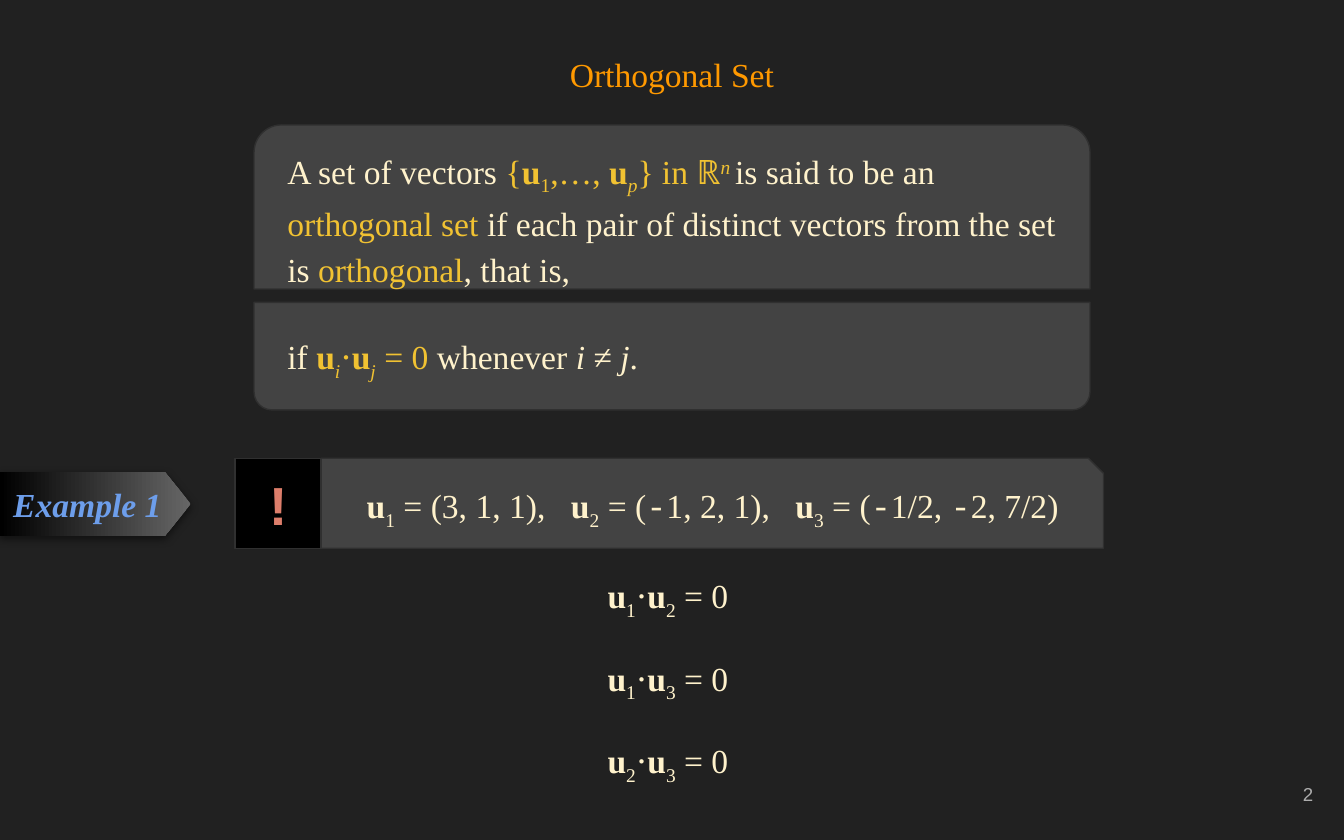
import pptx
import pptx.dml.color
import pptx.enum.shapes
import pptx.enum.text
import pptx.oxml
import pptx.oxml.ns
import pptx.util
from pptx.util import Inches

SHAPE = pptx.enum.shapes.MSO_SHAPE
ALIGN = pptx.enum.text.PP_ALIGN
ANCHOR = pptx.enum.text.MSO_ANCHOR
NS = pptx.oxml.ns.nsdecls("a")
SERIF, MONO = "Times New Roman", "Courier New"
CREAM, GOLD, PANEL, EDGE = "FFF2CC", "F1C232", "434343", "303030"


def rgb(value):
    return pptx.dml.color.RGBColor.from_string(value)


def vector(index, color=None, italic=False):
    """Runs for a bold u with a subscript."""
    return [("u", {"bold": True, "color": color}),
            (index, {"base": -25, "italic": italic, "color": color})]


def product(first, second):
    return vector(first) + [("⋅", {})] + vector(second) + [(" = 0", {})]


class Deck:
    def __init__(self, slide, background):
        self.slide = slide
        slide.background.fill.solid()
        slide.background.fill.fore_color.rgb = rgb(background)

    def group(self):
        return self.slide.shapes.add_group_shape().shapes

    def title(self, text, box, color):
        title = self.slide.shapes.title
        title.left, title.top, title.width, title.height = map(Inches, box)
        self.fill_text(title.text_frame, [[(text, {})]], color=color,
                       align=ALIGN.CENTER, after=16)

    def shape(self, kind, box, fill, adjust=None, parent=None):
        parent = parent or self.slide.shapes
        shape = parent.add_shape(kind, *map(Inches, box))
        shape.shadow.inherit = False
        if adjust is not None:
            shape.adjustments[0] = adjust
        shape.fill.solid()
        shape.fill.fore_color.rgb = rgb(fill)
        shape.line.color.rgb = rgb(EDGE)
        shape.line.width = pptx.util.Pt(0.75)
        return shape

    def text(self, box, paragraphs, parent=None, **style):
        parent = parent or self.slide.shapes
        frame = parent.add_textbox(*map(Inches, box)).text_frame
        self.fill_text(frame, paragraphs, **style)

    def label(self, shape, text, **style):
        self.fill_text(shape.text_frame, [[(text, {})]],
                       anchor=ANCHOR.MIDDLE, spacing=1.0, **style)

    def fill_text(self, frame, paragraphs, color=CREAM, font=SERIF, size=18,
                  align=ALIGN.LEFT, anchor=ANCHOR.TOP, spacing=1.15, before=0,
                  after=0, bold=False, italic=False, tabs=()):
        """Fill a frame with paragraphs, each a list of (text, changes) runs."""
        frame.word_wrap = True
        frame.auto_size = pptx.enum.text.MSO_AUTO_SIZE.NONE
        frame.vertical_anchor = anchor
        frame.margin_left = frame.margin_right = Inches(0.1)
        frame.margin_top = frame.margin_bottom = Inches(0.1)
        for number, runs in enumerate(paragraphs):
            paragraph = frame.add_paragraph() if number else frame.paragraphs[0]
            paragraph.alignment = align
            paragraph.line_spacing = spacing
            paragraph.space_before = pptx.util.Pt(before if number else 0)
            paragraph.space_after = pptx.util.Pt(after)
            if tabs:
                stops = "".join(f'<a:tab pos="{Inches(stop)}" algn="l"/>' for stop in tabs)
                paragraph._p.get_or_add_pPr().append(
                    pptx.oxml.parse_xml(f"<a:tabLst {NS}>{stops}</a:tabLst>"))
            paragraph.font.size = pptx.util.Pt(size)
            for words, change in runs:
                run = paragraph.add_run()
                run.text = words
                run.font.name = change.get("font", font)
                run.font.size = pptx.util.Pt(size)
                run.font.bold = change.get("bold", bold)
                run.font.italic = change.get("italic", italic)
                run.font.color.rgb = rgb(change.get("color") or color)
                if "base" in change:
                    run._r.get_or_add_rPr().set("baseline", str(change["base"] * 1000))

    def tag(self, text, box):
        """Pennant with a gradient and a soft shadow."""
        tag = self.shape(SHAPE.PENTAGON, box, "666666", 0.407)
        tag.line.fill.background()
        tag.fill.gradient()
        tag.fill.gradient_angle = 180
        for stop, color in zip(tag.fill.gradient_stops, ("666666", "000000")):
            stop.color.rgb = rgb(color)
        effects = tag._element.spPr.find(pptx.oxml.ns.qn("a:effectLst"))
        effects.append(pptx.oxml.parse_xml(
            f'<a:outerShdw {NS} blurRad="57150" dist="19050" dir="5400000" algn="bl" '
            'rotWithShape="0"><a:srgbClr val="000000"><a:alpha val="50000"/>'
            "</a:srgbClr></a:outerShdw>"))
        self.label(tag, text, color="6D9EEB", bold=True, italic=True)


def main():
    prs = pptx.Presentation()
    prs.slide_width, prs.slide_height = Inches(10), Inches(6.25)
    deck = Deck(prs.slides.add_slide(prs.slide_layouts[5]), "212121")
    gold, minus = {"color": GOLD}, ("-", {"font": MONO})

    deck.text((9.27, 5.67, 0.6, 0.48), [[("2", {})]], color="ADADAD", font="Arial",
              size=10, align=ALIGN.RIGHT, anchor=ANCHOR.MIDDLE, spacing=1.0)
    deck.title("Orthogonal Set", (0.34, 0.26, 9.32, 0.48), "FF9900")

    definition = [
        ("A set of vectors ", {}), ("{", gold), *vector("1", GOLD), (",…, ", gold),
        *vector("p", GOLD, True), ("} in ℝ", gold),
        ("n ", {"color": GOLD, "italic": True, "base": 30}),
        ("is said to be an ", {}), ("orthogonal set", gold),
        (" if each pair of distinct vectors from the set is ", {}),
        ("orthogonal", gold), (", that is,", {})]
    condition = [
        ("if ", {}), *vector("i", GOLD, True), ("⋅", gold), *vector("j", GOLD, True),
        (" = 0", gold), (" whenever ", {}), ("i", {"italic": True}), (" ≠ ", {}),
        ("j", {"italic": True}), (".", {})]
    for runs, top, height, inset, turn in ((definition, 0.93, 1.22, 0.04, 0),
                                           (condition, 2.25, 0.8, 0.1, 180)):
        card = deck.group()
        panel = deck.shape(SHAPE.ROUND_2_SAME_RECTANGLE, (1.89, top, 6.22, height),
                           PANEL, 0.167, card)
        panel.rotation = turn
        deck.text((2.04, top + inset, 5.93, height - 2 * inset), [runs], card, after=16)

    deck.text((4.32, 4.13, 1.3, 1.83),
              [product("1", "2"), product("1", "3"), product("2", "3")],
              align=ALIGN.CENTER, before=16)

    example = deck.group()
    deck.shape(SHAPE.SNIP_1_RECTANGLE, (2.39, 3.41, 5.82, 0.67), PANEL, 0.167, example)
    vectors = [*vector("1"), (" = (3, 1, 1),\t", {}),
               *vector("2"), (" = (", {}), minus, ("1, 2, 1),\t", {}),
               *vector("3"), (" = (", {}), minus, ("1/2, ", {}), minus, ("2, 7/2)", {})]
    deck.text((2.63, 3.46, 5.58, 0.67), [vectors], example, after=16, tabs=(1.52, 3.19))

    deck.tag("Example 1", (0, 3.51, 1.42, 0.48))
    alert = deck.shape(SHAPE.RECTANGLE, (1.75, 3.41, 0.64, 0.67), "000000")
    deck.label(alert, "!", color="DD7E6B", font=MONO, size=30, bold=True,
               align=ALIGN.CENTER)
    prs.save("out.pptx")


if __name__ == "__main__":
    main()
